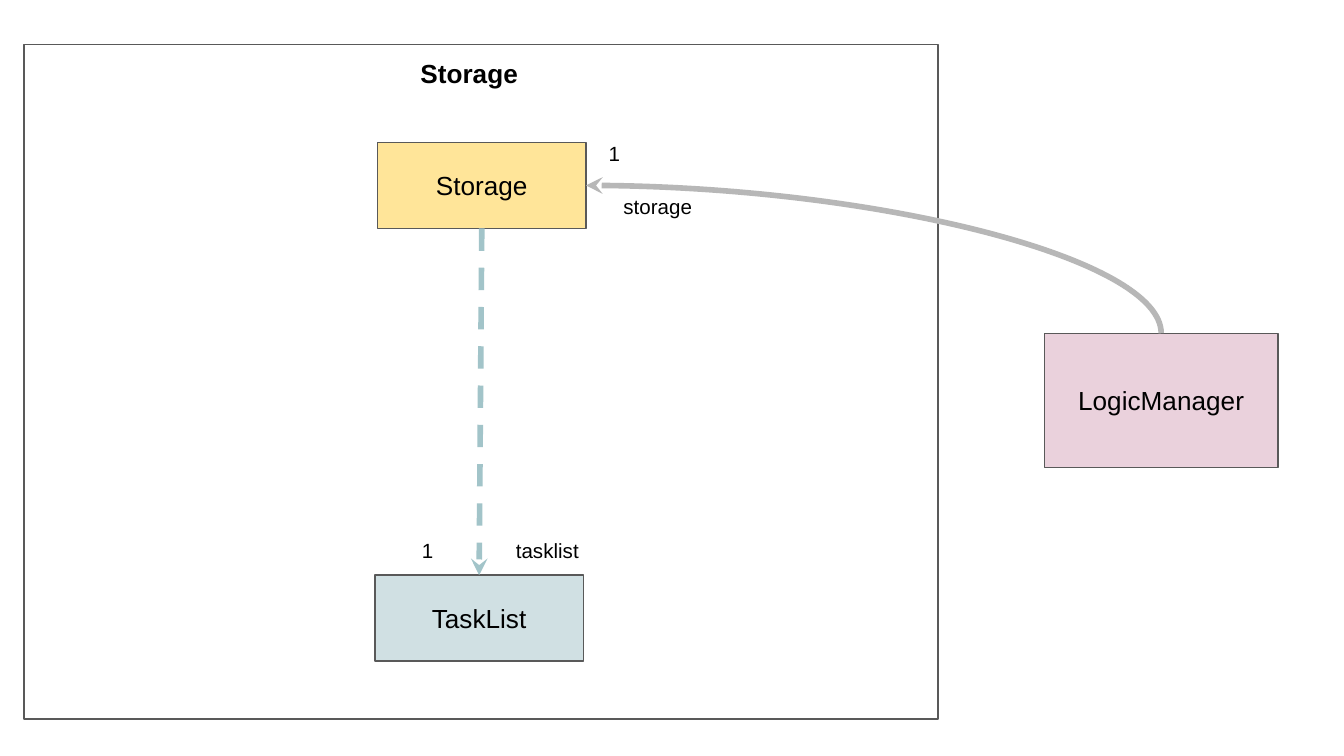
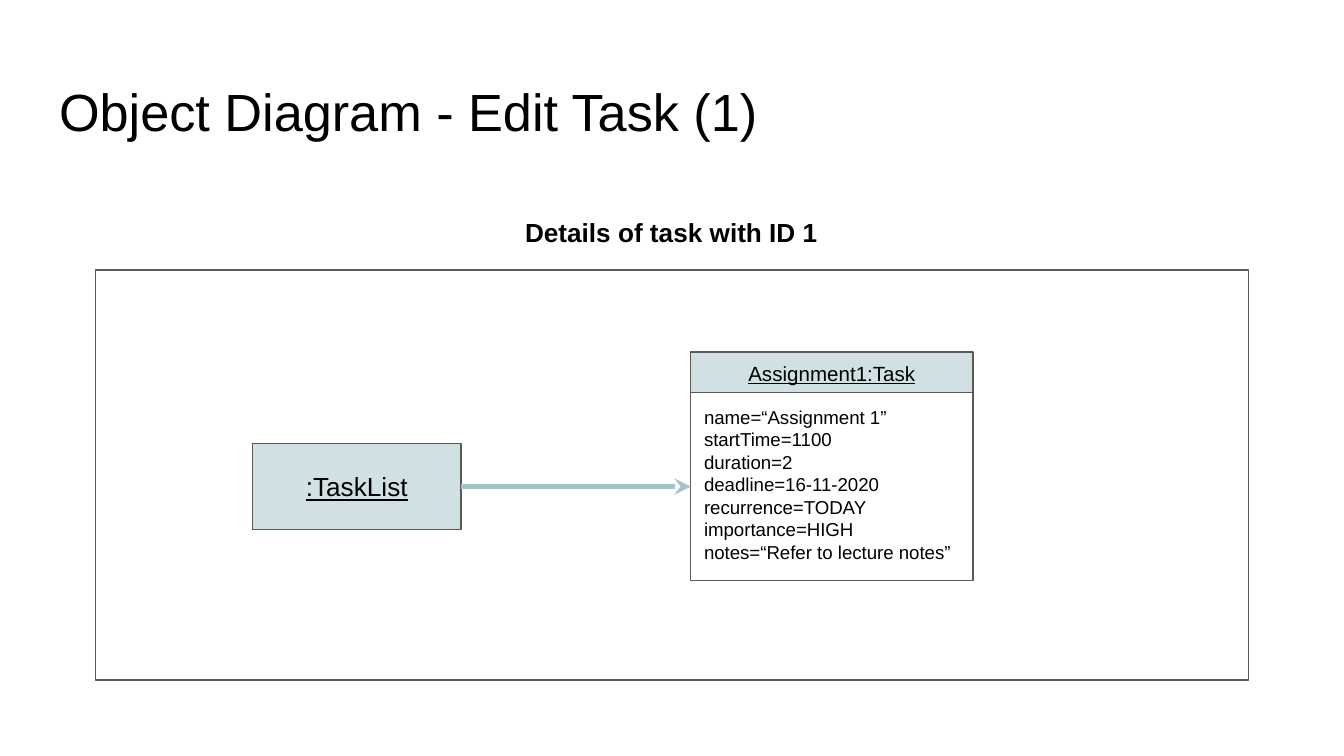
from dataclasses import dataclass
from typing import Optional

from lxml.etree import SubElement
from pptx import Presentation
from pptx.dml.color import RGBColor
from pptx.enum.dml import MSO_LINE
from pptx.enum.shapes import MSO_CONNECTOR, MSO_SHAPE
from pptx.enum.text import MSO_ANCHOR, MSO_AUTO_SIZE, PP_ALIGN
from pptx.oxml.ns import qn
from pptx.util import Inches, Pt


# Theme: colours, type sizes and line widths
@dataclass(frozen=True)
class Theme:
    font: str = "Arial"
    ink: str = "000000"
    edge: str = "595959"
    paper: str = "FFFFFF"
    gold: str = "FFE599"
    pink: str = "EAD1DC"
    mist: str = "D0E0E3"
    teal: str = "A2C4C9"
    gray: str = "B7B7B7"
    title: float = 28
    node: float = 14
    label: float = 11
    field: float = 10
    thin: float = 0.75
    thick: float = 3


THEME = Theme()
WIDE = Inches(10)
HIGH = WIDE * 9 // 16
FRAME = {
    "word_wrap": True,
    "auto_size": MSO_AUTO_SIZE.NONE,
    **{f"margin_{side}": Inches(0.1) for side in ("left", "top", "right", "bottom")},
}
NODE = (1.55, 0.64)  # width and height of a class box


@dataclass(frozen=True)
class Box:
    left: float
    top: float
    width: float
    height: float
    text: str = ""
    fill: Optional[str] = None
    size: float = THEME.node
    align: PP_ALIGN = PP_ALIGN.CENTER
    anchor: MSO_ANCHOR = MSO_ANCHOR.MIDDLE
    under: bool = False


@dataclass(frozen=True)
class Label:
    left: float
    top: float
    width: float
    height: float
    text: str
    size: float = THEME.label
    align: PP_ALIGN = PP_ALIGN.LEFT
    bold: bool = False


@dataclass(frozen=True)
class Link:
    start: object
    out: int
    end: object
    into: int
    color: str
    tip: str  # "headEnd" at the start, "tailEnd" at the end
    kind: MSO_CONNECTOR = MSO_CONNECTOR.CURVE
    preset: str = "curvedConnector3"
    dash: Optional[MSO_LINE] = None


# Drawing
def assign(target, values: dict) -> None:
    for name, value in values.items():
        setattr(target, name, value)


def write(shape, text: str, size: float, align: PP_ALIGN, anchor: MSO_ANCHOR,
          bold: bool = False, under: bool = False) -> None:
    frame = shape.text_frame
    assign(frame, {**FRAME, "vertical_anchor": anchor})
    frame.text = text
    look = {"name": THEME.font, "size": Pt(size), "bold": bold, "underline": under}
    for para in frame.paragraphs:
        para.alignment = align
        for run in para.runs:
            assign(run.font, look)
            run.font.color.rgb = RGBColor.from_string(THEME.ink)


def place(item) -> tuple:
    return tuple(map(Inches, (item.left, item.top, item.width, item.height)))


def stroke(line, color: str, width: float) -> None:
    line.color.rgb = RGBColor.from_string(color)
    line.width = Pt(width)


def draw_box(slide, box: Box):
    shape = slide.shapes.add_shape(MSO_SHAPE.RECTANGLE, *place(box))
    shape.shadow.inherit = False
    stroke(shape.line, THEME.edge, THEME.thin)
    if box.fill:
        shape.fill.solid()
        shape.fill.fore_color.rgb = RGBColor.from_string(box.fill)
    else:
        shape.fill.background()
    if box.text:
        write(shape, box.text, box.size, box.align, box.anchor, under=box.under)
    return shape


def draw_label(slide, label: Label) -> None:
    shape = slide.shapes.add_textbox(*place(label))
    write(shape, label.text, label.size, label.align, MSO_ANCHOR.TOP, label.bold)


def draw_link(slide, link: Link) -> None:
    wire = slide.shapes.add_connector(link.kind, 0, 0, 0, 0)
    wire.begin_connect(link.start, link.out)
    wire.end_connect(link.end, link.into)
    stroke(wire.line, link.color, THEME.thick)
    if link.dash:
        wire.line.dash_style = link.dash
    props = wire._element.spPr
    if link.kind == MSO_CONNECTOR.CURVE:
        props.find(qn("a:prstGeom")).set("prst", link.preset)
    SubElement(props.find(qn("a:ln")), qn(f"a:{link.tip}"), type="stealth")
    SubElement(props, qn("a:effectLst"))


# Slide 1: storage class diagram
def draw_class(deck) -> None:
    slide = deck.slides.add_slide(deck.slide_layouts[6])
    draw_box(slide, Box(0.18, 0.33, 6.8, 5.02))
    draw_label(slide, Label(3.03, 0.33, 1.09, 0.42, "Storage", THEME.node, bold=True))
    store = draw_box(slide, Box(2.81, 1.06, *NODE, "Storage", THEME.gold))
    logic = draw_box(slide, Box(7.77, 2.48, 1.74, 1, "LogicManager", THEME.pink))
    draw_link(slide, Link(store, 3, logic, 0, THEME.gray, "headEnd",
                          preset="curvedConnector2"))
    draw_label(slide, Label(4.54, 1.34, 1.04, 0.42, "storage"))
    draw_label(slide, Label(4.43, 0.95, 0.29, 0.38, "1"))
    tasks = draw_box(slide, Box(2.79, 4.28, *NODE, "TaskList", THEME.mist))
    draw_label(slide, Label(3.74, 3.9, 0.97, 0.38, "tasklist"))
    draw_label(slide, Label(3.04, 3.9, 0.29, 0.38, "1"))
    draw_link(slide, Link(store, 2, tasks, 0, THEME.teal, "tailEnd",
                          MSO_CONNECTOR.STRAIGHT, dash=MSO_LINE.DASH))


# Slide 2: object diagram of one task
FIELDS = (
    "name=“Assignment 1”",
    "startTime=1100",
    "duration=2",
    "deadline=16-11-2020",
    "recurrence=TODAY",
    "importance=HIGH",
    "notes=“Refer to lecture notes”",
)


def draw_object(deck) -> None:
    slide = deck.slides.add_slide(deck.slide_layouts[5])
    title = slide.shapes.title
    spot = {"left": 0.34, "top": 0.49, "width": 9.32, "height": 0.63}
    assign(title, {name: Inches(value) for name, value in spot.items()})
    write(title, "Object Diagram - Edit Task (1)", THEME.title,
          PP_ALIGN.LEFT, MSO_ANCHOR.TOP)
    draw_box(slide, Box(0.71, 2.01, 8.58, 3.05))
    draw_label(slide, Label(0.52, 1.51, 8.95, 0.42, "Details of task with ID 1",
                            THEME.node, PP_ALIGN.CENTER, True))
    tasks = draw_box(slide, Box(1.88, 3.3, *NODE, ":TaskList", THEME.mist, under=True))
    draw_box(slide, Box(5.14, 2.62, 2.1, 0.31, "Assignment1:Task", THEME.mist,
                        THEME.label, under=True))
    card = draw_box(slide, Box(5.14, 2.92, 2.1, 1.4, "\n".join(FIELDS), THEME.paper,
                               THEME.field, PP_ALIGN.LEFT, MSO_ANCHOR.TOP))
    draw_link(slide, Link(card, 1, tasks, 3, THEME.teal, "headEnd"))


def main() -> None:
    deck = Presentation()
    assign(deck, {"slide_width": WIDE, "slide_height": HIGH})
    draw_class(deck)
    draw_object(deck)
    deck.save("out.pptx")


if __name__ == "__main__":
    main()
